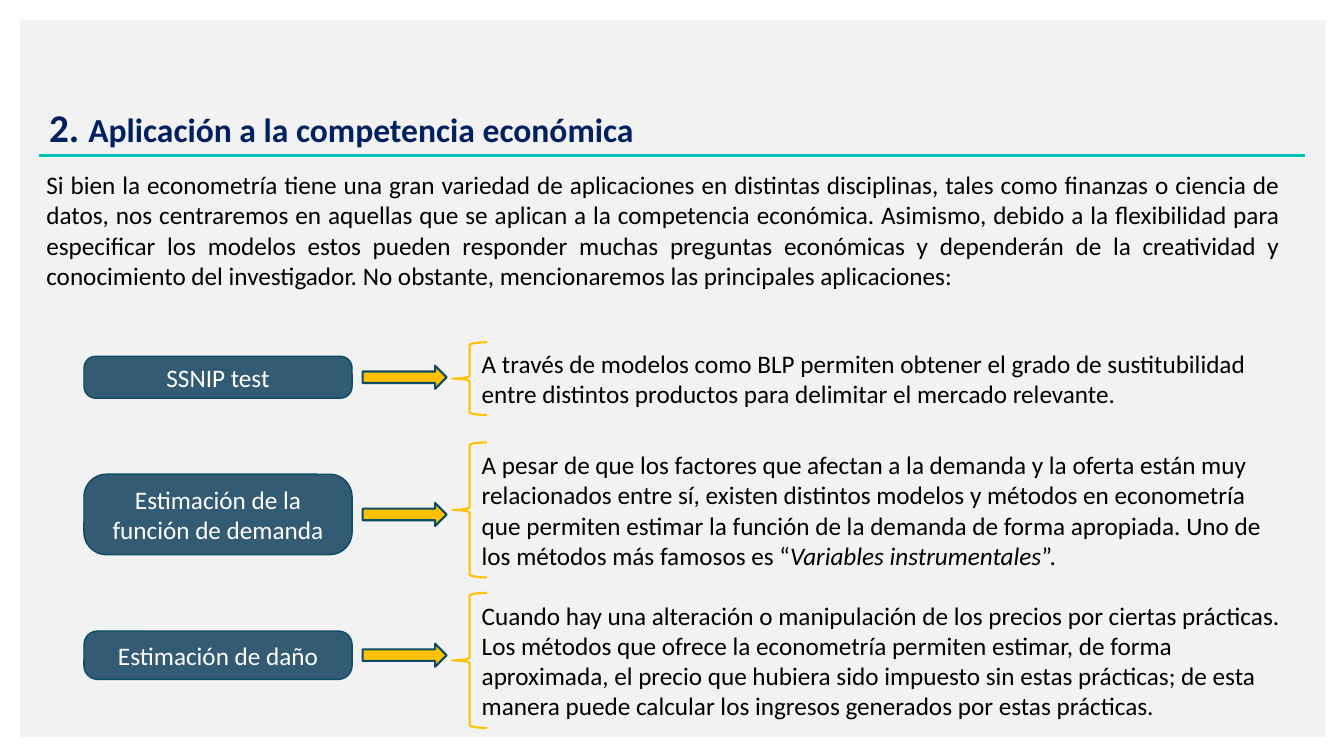
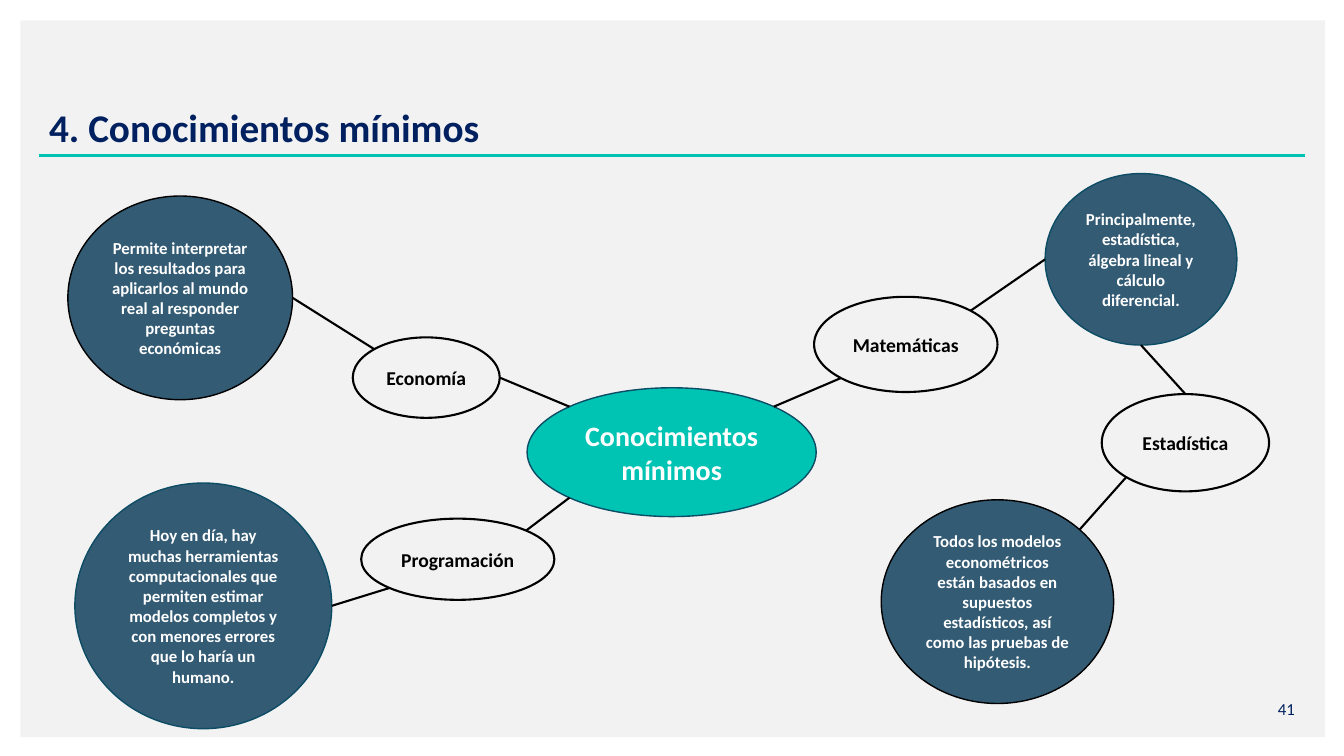
from dataclasses import dataclass
from math import cos, radians, sin

from lxml import etree
from pptx import Presentation
from pptx.dml.color import RGBColor
from pptx.enum import shapes, text
from pptx.oxml.ns import qn
from pptx.util import Pt


@dataclass(frozen=True)
class Theme:
    font: str = "Calibri"
    white: str = "FFFFFF"
    black: str = "000000"
    panel: str = "F2F2F2"
    navy: str = "002060"
    teal: str = "00C4B3"
    slate: str = "335B74"
    outline: str = "0C4C64"
    amber: str = "FFC000"
    title: int = 28
    subtitle: int = 24
    hub: int = 20
    body: int = 18
    topic: int = 14
    small: int = 12
    thin: float = 1
    medium: float = 1.5
    rule: float = 2.25


THEME = Theme()
SHAPE = shapes.MSO_SHAPE
ALIGN = text.PP_ALIGN
ANCHOR = text.MSO_ANCHOR

# Connection sites of an ellipse, counterclockwise from the top
TOP, TOP_LEFT, LEFT, BOTTOM_LEFT, BOTTOM, BOTTOM_RIGHT, RIGHT, TOP_RIGHT = range(8)


# --- Shared helpers ---
def color(value):
    return RGBColor.from_string(value)


def write(shape, runs, size, ink, align=ALIGN.LEFT, anchor=ANCHOR.TOP, bold=False):
    """Fill a shape with one paragraph; runs are strings or (string, font overrides)."""
    frame = shape.text_frame
    frame.word_wrap = True
    frame.vertical_anchor = anchor
    paragraph = frame.paragraphs[0]
    paragraph.alignment = align
    for item in [runs] if isinstance(runs, str) else runs:
        words, overrides = (item, {}) if isinstance(item, str) else item
        run = paragraph.add_run()
        run.text = words
        font = run.font
        font.name, font.size, font.bold = THEME.font, Pt(size), bold
        font.color.rgb = color(ink)
        for name, value in overrides.items():
            setattr(font, name, value)
    return paragraph


def add_text(slide, box, runs, size, ink, **style):
    return write(slide.shapes.add_textbox(*map(Pt, box)), runs, size, ink, **style)


def add_shape(slide, kind, box, fill=None, line=None, width=THEME.thin):
    shape = slide.shapes.add_shape(kind, *map(Pt, box))
    shape.shadow.inherit = False
    if fill:
        shape.fill.solid()
        shape.fill.fore_color.rgb = color(fill)
    else:
        shape.fill.background()
    if line:
        shape.line.color.rgb = color(line)
        shape.line.width = Pt(width)
    else:
        shape.line.fill.background()
    return shape


def add_line(slide, start, end, ink, width):
    connector = slide.shapes.add_connector(shapes.MSO_CONNECTOR.STRAIGHT, *start, *end)
    connector.line.color.rgb = color(ink)
    connector.line.width = Pt(width)
    etree.SubElement(connector._element.spPr, qn("a:effectLst"))
    return connector


def add_base(presentation, title):
    """Blank slide with grey panel, title and teal rule."""
    slide = presentation.slides.add_slide(presentation.slide_layouts[6])
    add_shape(slide, SHAPE.RECTANGLE, (14.5, 14.5, 932, 512), THEME.panel)
    add_line(slide, (Pt(28), Pt(111)), (Pt(932), Pt(111)), THEME.teal, THEME.rule)
    paragraph = add_text(slide, (28, 67.5, 904, 44), title, THEME.title, THEME.navy,
                         anchor=ANCHOR.BOTTOM, bold=True)
    paragraph.line_spacing = 0.9
    return slide


# --- Applications slide ---
def add_application(slide, box, name, name_height, name_middle, description):
    """One row: name, arrow, brace and description; name_middle is measured from the top."""
    left, top, width, height = box
    middle = top + name_middle
    label = add_shape(slide, SHAPE.ROUNDED_RECTANGLE,
                      (left, middle - name_height / 2, 191.5, name_height),
                      THEME.slate, THEME.outline)
    label.adjustments[0] = 0.28
    write(label, name, THEME.body, THEME.white, ALIGN.CENTER, ANCHOR.MIDDLE)
    add_shape(slide, SHAPE.RIGHT_ARROW, (left + 199, middle - 8.25, 60, 16.5),
              THEME.amber, THEME.outline, THEME.medium)
    add_shape(slide, SHAPE.LEFT_BRACE, (left + 263, top, 25, height),
              line=THEME.amber, width=THEME.medium)
    add_text(slide, (left + 277, top, width - 277, height), description,
             THEME.body, THEME.black, anchor=ANCHOR.MIDDLE)


def build_applications(presentation):
    slide = add_base(presentation, [
        "2. ", ("Aplicación a la competencia económica", {"size": Pt(THEME.subtitle)})])
    add_text(
        slide, (26, 117.5, 895.5, 94),
        "Si bien la econometría tiene una gran variedad de aplicaciones en distintas "
        "disciplinas, tales como finanzas o ciencia de datos, nos centraremos en aquellas "
        "que se aplican a la competencia económica. Asimismo, debido a la flexibilidad para "
        "especificar los modelos estos pueden responder muchas preguntas económicas y "
        "dependerán de la creatividad y conocimiento del investigador. No obstante, "
        "mencionaremos las principales aplicaciones:",
        THEME.body, THEME.black, align=ALIGN.JUSTIFY)

    # top, row height, name, name height, name middle, description
    rows = [
        (244.5, 52, "SSNIP test", 30, 25,
         "A través de modelos como BLP permiten obtener el grado de sustitubilidad entre "
         "distintos productos para delimitar el mercado relevante."),
        (316, 96.5, "Estimación de la función de demanda", 57.5, 51.5,
         ["A pesar de que los factores que afectan a la demanda y la oferta están muy "
          "relacionados entre sí, existen distintos modelos y métodos en econometría que "
          "permiten estimar la función de la demanda de forma apropiada. Uno de los métodos "
          "más famosos es “", ("Variables instrumentales", {"italic": True}), "”."]),
        (423.5, 96.5, "Estimación de daño", 34.5, 44.5,
         "Cuando hay una alteración o manipulación de los precios por ciertas prácticas. "
         "Los métodos que ofrece la econometría permiten estimar, de forma aproximada, el "
         "precio que hubiera sido impuesto sin estas prácticas; de esta manera puede "
         "calcular los ingresos generados por estas prácticas."),
    ]
    for top, height, *parts in rows:
        add_application(slide, (60, top, 861.5, height), *parts)


# --- Knowledge map slide ---
def ellipse_site(shape, site):
    angle = radians(90 + 45 * site)
    return (round(shape.left + shape.width / 2 * (1 + cos(angle))),
            round(shape.top + shape.height / 2 * (1 - sin(angle))))


def link(slide, start, start_site, end, end_site):
    """Join two ellipses, including their diagonal connection sites."""
    connector = add_line(slide, ellipse_site(start, start_site),
                         ellipse_site(end, end_site), THEME.black, THEME.medium)
    properties = connector._element.nvCxnSpPr.cNvCxnSpPr
    for tag, shape, site in (("a:stCxn", start, start_site), ("a:endCxn", end, end_site)):
        etree.SubElement(properties, qn(tag), id=str(shape.shape_id), idx=str(site))


def add_bubble(slide, box, words, size, ink, fill, line, width=THEME.thin):
    bubble = add_shape(slide, SHAPE.OVAL, box, fill, line, width)
    write(bubble, words, size, ink, ALIGN.CENTER, ANCHOR.MIDDLE, bold=True)
    return bubble


def add_topic(slide, box, name):
    return add_bubble(slide, box, name, THEME.topic, THEME.black, None,
                      THEME.black, THEME.medium)


def add_detail(slide, box, words, line=THEME.outline):
    return add_bubble(slide, box, words, THEME.small, THEME.white, THEME.slate, line)


def build_knowledge_map(presentation):
    slide = add_base(presentation, "4. Conocimientos mínimos")
    add_text(slide, (716, 491.5, 216, 29), "41", THEME.small, THEME.navy,
             align=ALIGN.RIGHT, anchor=ANCHOR.MIDDLE)

    # Centre and topics
    hub = add_bubble(slide, (376.5, 277, 206.5, 92), "Conocimientos mínimos",
                     THEME.hub, THEME.white, THEME.teal, THEME.outline)
    economics = add_topic(slide, (252, 241, 105, 57.5), "Economía")
    programming = add_topic(slide, (258, 370.5, 138, 58), "Programación")
    mathematics = add_topic(slide, (581.5, 212, 131, 68), "Matemáticas")
    statistics = add_topic(slide, (787, 281.5, 119.5, 69.5), "Estadística")

    # Details
    economics_detail = add_detail(
        slide, (48.5, 140, 160.5, 145.5),
        "Permite interpretar los resultados para aplicarlos al mundo real al responder "
        "preguntas económicas", THEME.black)
    programming_detail = add_detail(
        slide, (53.5, 345, 183.5, 175.5),
        "Hoy en día, hay muchas herramientas computacionales que permiten estimar modelos "
        "completos y con menores errores que lo haría un humano.")
    mathematics_detail = add_detail(
        slide, (746.5, 124, 137, 122.5),
        "Principalmente, estadística, álgebra lineal y cálculo diferencial.")
    statistics_detail = add_detail(
        slide, (629.5, 357, 166, 145.5),
        "Todos los modelos econométricos están basados en supuestos estadísticos, así como "
        "las pruebas de hipótesis.", THEME.black)

    # Links
    for ends in (
        (economics, RIGHT, hub, TOP_LEFT),
        (economics_detail, RIGHT, economics, TOP_LEFT),
        (programming_detail, RIGHT, programming, BOTTOM_LEFT),
        (programming, TOP_RIGHT, hub, BOTTOM_LEFT),
        (mathematics, BOTTOM_LEFT, hub, TOP_RIGHT),
        (mathematics_detail, LEFT, mathematics, TOP_RIGHT),
        (mathematics_detail, BOTTOM, statistics, TOP),
        (statistics, BOTTOM_LEFT, statistics_detail, TOP_RIGHT),
    ):
        link(slide, *ends)


def main():
    presentation = Presentation()
    presentation.slide_width, presentation.slide_height = Pt(960), Pt(540)
    build_applications(presentation)
    build_knowledge_map(presentation)
    presentation.save("out.pptx")


if __name__ == "__main__":
    main()
